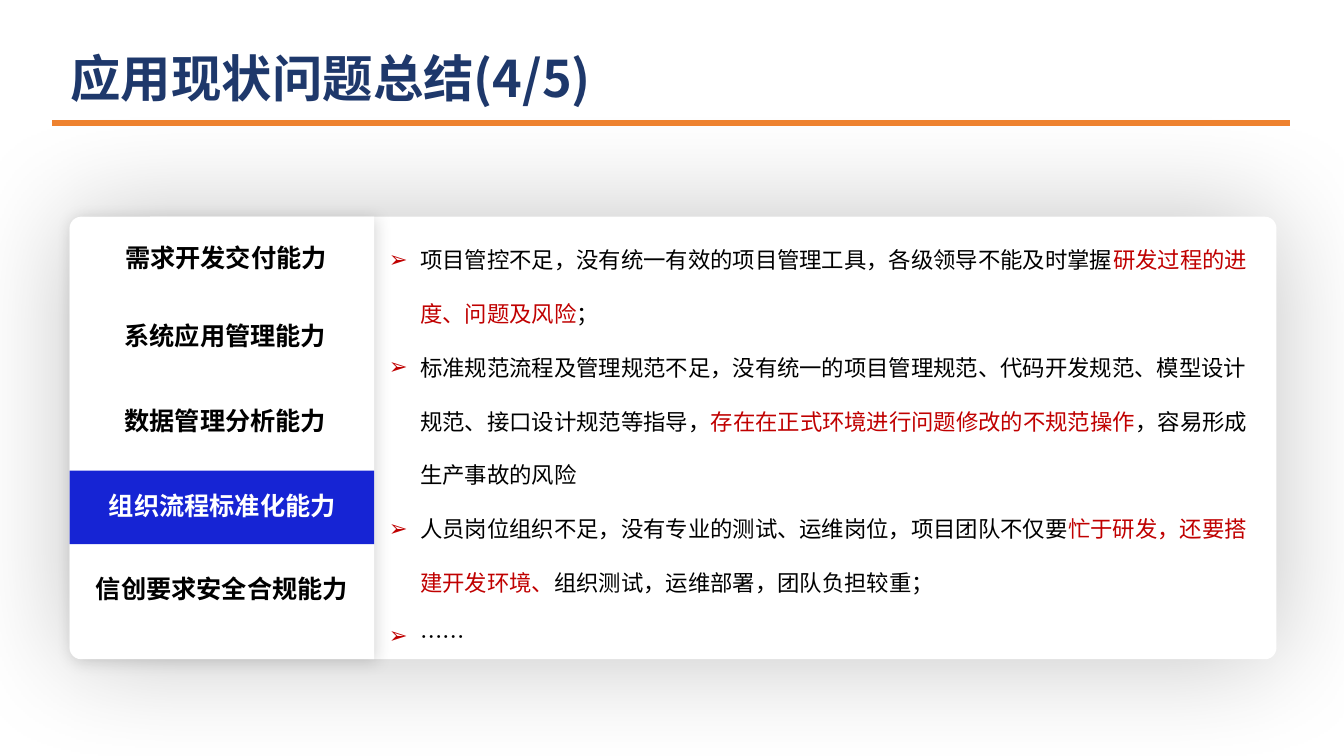
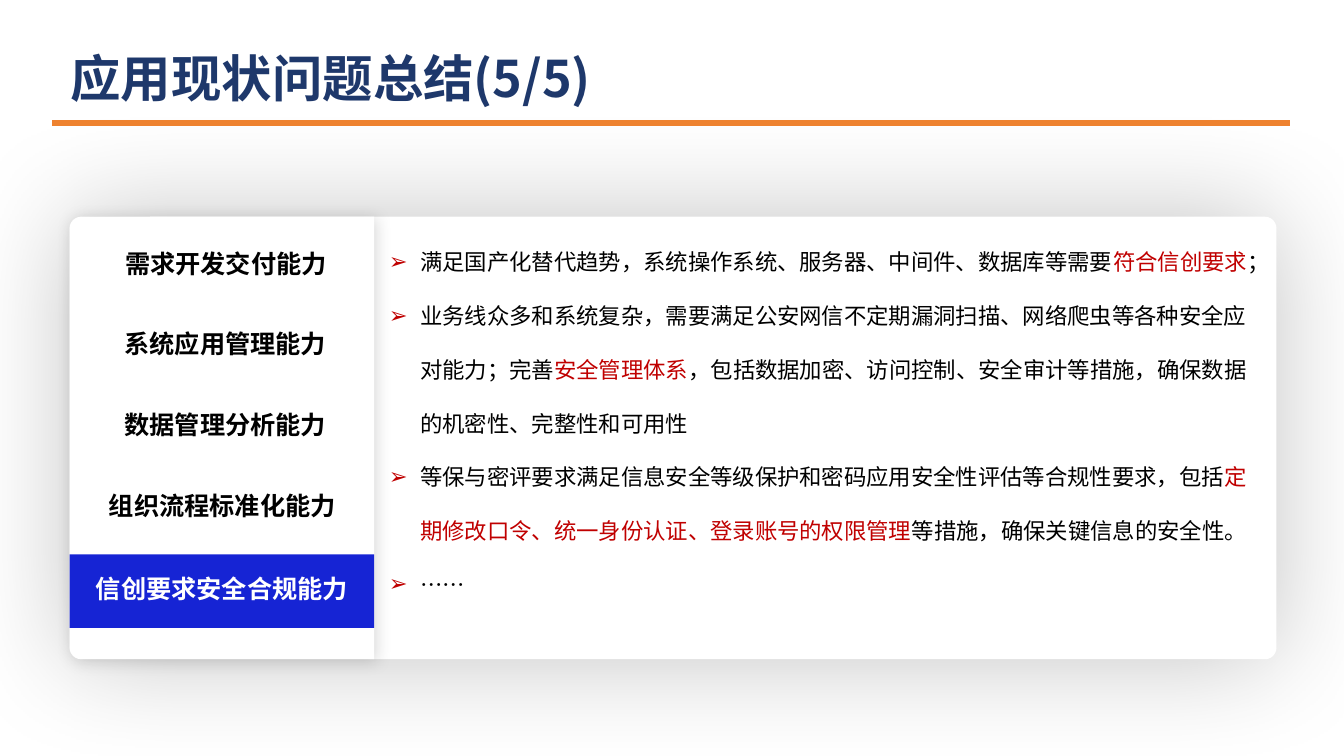
from dataclasses import dataclass

import pptx
import pptx.dml.color
import pptx.enum.shapes
import pptx.enum.text
import pptx.oxml.ns
import pptx.oxml.xmlchemy
import pptx.util
from lxml import etree
from pptx.util import Inches

RGBColor = pptx.dml.color.RGBColor
SHAPE = pptx.enum.shapes.MSO_SHAPE
ANCHOR = pptx.enum.text.MSO_ANCHOR
qn = pptx.oxml.ns.qn

# Theme
NAVY = RGBColor(0x1E, 0x38, 0x6B)
ORANGE = RGBColor(0xEE, 0x82, 0x2F)
BLUE = RGBColor(0x16, 0x24, 0xD4)
RED = RGBColor(0xC0, 0x00, 0x00)
BLACK = RGBColor(0, 0, 0)
WHITE = RGBColor(0xFF, 0xFF, 0xFF)
CJK_FONT = "Noto Sans CJK SC"
TITLE_FONT = "DejaVu Sans"
TITLE = "应用现状问题总结"

# Card geometry in inches
CARD_LEFT, CARD_TOP, CARD_WIDTH, CARD_HEIGHT = 0.69, 2.15, 11.97, 4.39
MENU_WIDTH = 3.02
HIGHLIGHT_HEIGHT = 0.73
HIGHLIGHT_RISE = 0.14


@dataclass(frozen=True)
class Shadow:
    opacity: int
    blur: float
    distance: float = 0
    angle: int = 0


@dataclass(frozen=True)
class Span:
    text: str
    color: RGBColor = BLACK
    font: str = CJK_FONT


@dataclass(frozen=True)
class Capability:
    text: str
    left: float
    width: float


@dataclass(frozen=True)
class Summary:
    page: str
    active: int
    label_tops: tuple[float, ...]
    body_top: float
    points: tuple[tuple[Span, ...], ...]


CAPABILITIES = (
    Capability("需求开发交付能力", 1.09, 2.3),
    Capability("系统应用管理能力", 1.01, 2.45),
    Capability("数据管理分析能力", 1.01, 2.45),
    Capability("组织流程标准化能力", 0.7, 3.01),
    Capability("信创要求安全合规能力", 0.69, 3.02),
)

SUMMARIES = (
    Summary("(4/5)", 3, (2.35, 3.13, 3.97, 4.81, 5.64), 2.13, (
        (Span("项目管控不足，没有统一有效的项目管理工具，各级领导不能及时掌握"),
         Span("研发过程的进度、问题及风险", RED),
         Span("；")),
        (Span("标准规范流程及管理规范不足，没有统一的项目管理规范、代码开发规范、"
              "模型设计规范、接口设计规范等指导，"),
         Span("存在在正式环境进行问题修改的不规范操作", RED),
         Span("，容易形成生产事故的风险")),
        (Span("人员岗位组织不足，没有专业的测试、运维岗位，项目团队不仅要"),
         Span("忙于研发，还要搭建开发环境、", RED),
         Span("组织测试，运维部署，团队负担较重；")),
        (Span("……"),),
    )),
    Summary("(5/5)", 4, (2.41, 3.21, 4.01, 4.81, 5.64), 2.15, (
        (Span("满足国产化替代趋势，系统操作系统、服务器、中间件、数据库等需要"),
         Span("符合信创要求", RED),
         Span("；")),
        (Span("业务线众多和系统复杂，需要满足公安网信不定期漏洞扫描、"
              "网络爬虫等各种安全应对能力；"),
         Span("完善", font="Arial"),
         Span("安全管理体系", RED, "Arial"),
         Span("，包括数据加密、访问控制、安全审计等措施，确保数据的机密性、"
              "完整性和可用性", font="Arial")),
        (Span("等保与密评要求满足信息安全等级保护和密码应用安全性评估等合规性要求，包括"),
         Span("定期修改口令、统一身份认证、登录账号的权限管理", RED),
         Span("等措施，确保关键信息的安全性。")),
        (Span("……"),),
    )),
)


def add_span(paragraph, span: Span, size: float, bold: bool = False) -> None:
    run = paragraph.add_run()
    run.text = span.text
    run.font.size = pptx.util.Pt(size)
    run.font.bold = bold
    run.font.color.rgb = span.color
    run.font.name = span.font
    properties = run._r.get_or_add_rPr()
    properties.set("lang", "zh-CN")
    etree.SubElement(properties, qn("a:ea")).set("typeface", CJK_FONT)


def add_text_frame(slide, left: float, top: float, width: float, height: float,
                   anchor=ANCHOR.MIDDLE):
    box = slide.shapes.add_textbox(
        Inches(left), Inches(top), Inches(width), Inches(height))
    frame = box.text_frame
    frame.word_wrap = True
    frame.vertical_anchor = anchor
    return frame


def add_panel(slide, kind, left: float, top: float, width: float, height: float,
              color: RGBColor, shadow: Shadow | None = None):
    panel = slide.shapes.add_shape(
        kind, Inches(left), Inches(top), Inches(width), Inches(height))
    panel.fill.solid()
    panel.fill.fore_color.rgb = color
    panel.line.fill.background()
    panel.shadow.inherit = False
    if shadow:
        effects = panel.element.spPr.find(qn("a:effectLst"))
        outer = etree.SubElement(
            effects, qn("a:outerShdw"),
            blurRad=str(pptx.util.Pt(shadow.blur)),
            dist=str(pptx.util.Pt(shadow.distance)),
            dir=str(shadow.angle * 60000), algn="ctr", rotWithShape="0")
        tint = etree.SubElement(outer, qn("a:srgbClr"), val=str(BLACK))
        etree.SubElement(tint, qn("a:alpha"), val=str(shadow.opacity * 1000))
    return panel


def add_header(slide, page: str) -> None:
    rule = slide.shapes.add_connector(
        pptx.enum.shapes.MSO_CONNECTOR.STRAIGHT,
        Inches(0.52), Inches(1.22), Inches(12.79), Inches(1.22))
    rule.line.color.rgb = ORANGE
    rule.line.width = pptx.util.Pt(4.5)
    etree.SubElement(rule.element.spPr, qn("a:effectLst"))

    frame = add_text_frame(slide, 0.7, 0.27, 12.02, 0.99)
    frame.margin_left = 0
    heading = frame.paragraphs[0]
    add_span(heading, Span(TITLE, NAVY, TITLE_FONT), 36, True)
    add_span(heading, Span(page, NAVY), 36, True)


def add_card(slide) -> None:
    card = add_panel(slide, SHAPE.ROUNDED_RECTANGLE, CARD_LEFT, CARD_TOP,
                     CARD_WIDTH, CARD_HEIGHT, WHITE, Shadow(24, 82))
    card.adjustments[0] = 0.026
    # The menu lies on its side, so its frame is turned about the same centre
    turn = (CARD_HEIGHT - MENU_WIDTH) / 2
    menu = add_panel(slide, SHAPE.ROUND_2_SAME_RECTANGLE, CARD_LEFT - turn,
                     CARD_TOP + turn, CARD_HEIGHT, MENU_WIDTH, WHITE,
                     Shadow(15, 12, 2, 45))
    menu.rotation = 270
    menu.adjustments[0] = 0.039
    menu.adjustments[1] = 0


def add_menu(slide, summary: Summary) -> None:
    add_panel(slide, SHAPE.RECTANGLE, CARD_LEFT,
              summary.label_tops[summary.active] - HIGHLIGHT_RISE,
              MENU_WIDTH, HIGHLIGHT_HEIGHT, BLUE)
    for index, (item, top) in enumerate(zip(CAPABILITIES, summary.label_tops)):
        frame = add_text_frame(slide, item.left, top, item.width, 0.4)
        frame.auto_size = pptx.enum.text.MSO_AUTO_SIZE.SHAPE_TO_FIT_TEXT
        label = frame.paragraphs[0]
        label.alignment = pptx.enum.text.PP_ALIGN.CENTER
        color = WHITE if index == summary.active else BLACK
        add_span(label, Span(item.text, color), 18, True)


def add_arrow_bullet(paragraph) -> None:
    properties = paragraph._p.get_or_add_pPr()
    properties.set("marL", str(Inches(0.31)))
    properties.set("indent", str(-Inches(0.31)))
    bullet_color = etree.SubElement(properties, qn("a:buClr"))
    etree.SubElement(bullet_color, qn("a:srgbClr"), val=str(RED))
    etree.SubElement(properties, qn("a:buFont"), typeface=TITLE_FONT)
    etree.SubElement(properties, qn("a:buChar"), char="➢")


def add_points(slide, summary: Summary) -> None:
    frame = add_text_frame(slide, 3.76, summary.body_top, 8.76, 4.4, ANCHOR.TOP)
    for index, spans in enumerate(summary.points):
        point = frame.add_paragraph() if index else frame.paragraphs[0]
        point.line_spacing = 2.0
        add_arrow_bullet(point)
        for span in spans:
            add_span(point, span, 16)


def main() -> None:
    deck = pptx.Presentation()
    deck.slide_width, deck.slide_height = Inches(13.33), Inches(7.5)
    for summary in SUMMARIES:
        slide = deck.slides.add_slide(deck.slide_layouts[6])
        add_card(slide)
        add_menu(slide, summary)
        add_points(slide, summary)
        add_header(slide, summary.page)
    deck.save("out.pptx")


if __name__ == "__main__":
    main()
